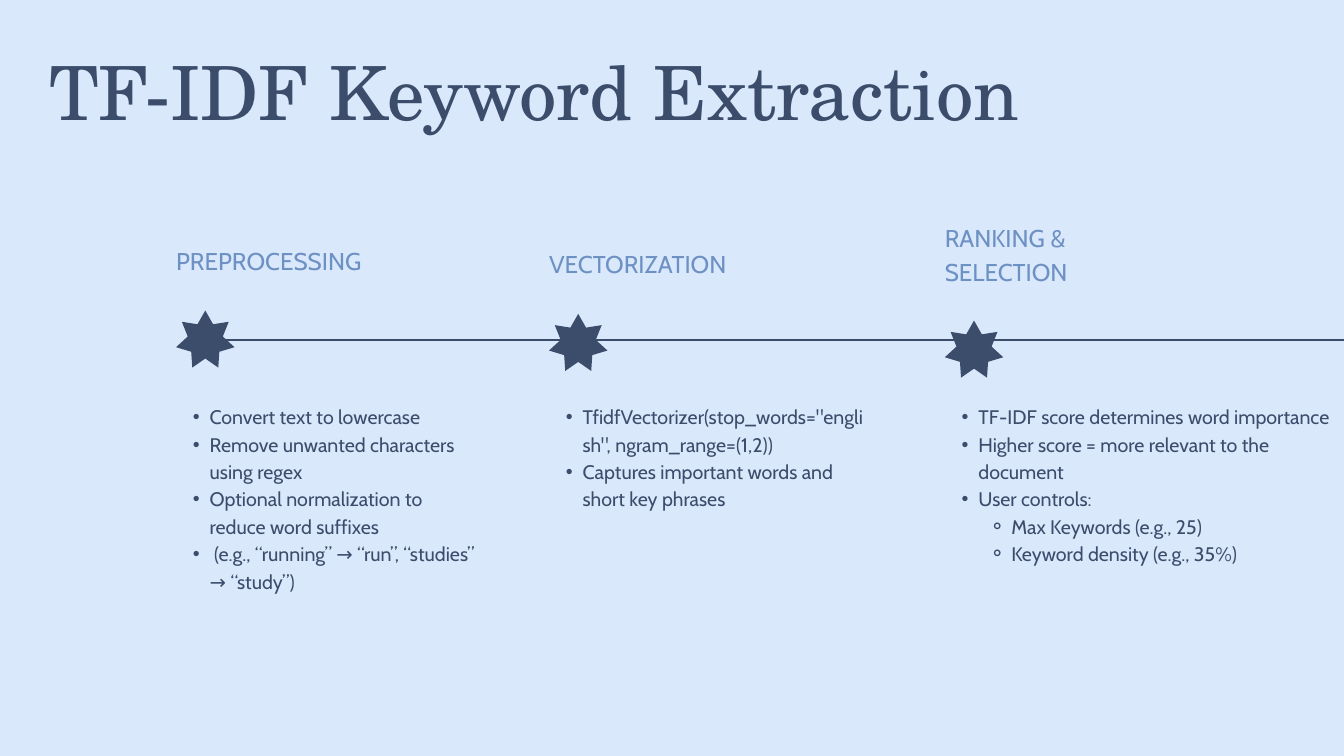
from dataclasses import dataclass

from lxml import etree
from pptx import Presentation
from pptx import util as u
from pptx.dml.color import RGBColor
from pptx.enum import shapes, text
from pptx.oxml.ns import qn

COLORS = {"background": "DAE8FC", "ink": "3B4D6B", "label": "6E91C4"}
HEADING_FONT, BODY_FONT = "TeX Gyre Schola", "Cabin"

SLIDE_WIDTH, SLIDE_HEIGHT = u.Inches(20), u.Inches(11.25)
COLUMNS, ROWS = 80, 45
DETAILS_ROW = 23.88
TIMELINE_ROW = 20.24

# Level: (bullet, left margin, hanging indent), both in inches
BULLETS = {1: ("•", 0.5, -0.25), 2: ("⚬", 0.99, -0.33)}


@dataclass
class Step:
    """A timeline stop; label and details boxes are in grid units."""
    label: str
    column: float
    label_row: float
    label_size: tuple
    star_row: float
    details_size: tuple
    details: list  # (level, wording)


STEPS = [
    Step("PREPROCESSING", 10.48, 14.36, (13.52, 1.92), 18.48, (17.8, 12.96), [
        (1, "Convert text to lowercase"),
        (1, "Remove unwanted characters using regex"),
        (1, "Optional normalization to reduce word suffixes"),
        (1, " (e.g., “running” → “run”, “studies” → “study”)"),
    ]),
    Step("VECTORIZATION", 32.68, 14.52, (12.6, 1.92), 18.68, (19.12, 8.12), [
        (1, 'TfidfVectorizer(stop_words="english", ngram_range=(1,2))'),
        (1, "Captures important words and short key phrases"),
    ]),
    Step("RANKING & SELECTION", 56.24, 13, (12.6, 3.92), 19.08, (23.76, 12.96), [
        (1, "TF-IDF score determines word importance"),
        (1, "Higher score = more relevant to the document"),
        (1, "User controls:"),
        (2, "Max Keywords (e.g., 25)"),
        (2, "Keyword density (e.g., 35%)"),
    ]),
]


def across(columns):
    return round(SLIDE_WIDTH * columns / COLUMNS)


def down(rows):
    return round(SLIDE_HEIGHT * rows / ROWS)


def grid_box(column, row, width, height):
    return across(column), down(row), across(width), down(height)


def color(name):
    return RGBColor.from_string(COLORS[name])


def add_bullet(paragraph, level):
    bullet, margin, indent = BULLETS[level]
    paragraph.level = level
    properties = paragraph._p.get_or_add_pPr()
    properties.set("marL", str(u.Inches(margin)))
    properties.set("indent", str(u.Inches(indent)))
    etree.SubElement(properties, qn("a:buFont")).set("typeface", "Arial")
    etree.SubElement(properties, qn("a:buChar")).set("char", bullet)


def add_text(slide, box, lines, font, size, leading, color_name):
    """Lines are (level, wording) pairs; level 0 has no bullet."""
    frame = slide.shapes.add_textbox(*box).text_frame
    frame.word_wrap = True
    frame.auto_size = text.MSO_AUTO_SIZE.SHAPE_TO_FIT_TEXT
    frame.margin_left = frame.margin_right = 0
    frame.margin_top = frame.margin_bottom = 0
    for index, (level, wording) in enumerate(lines):
        paragraph = frame.add_paragraph() if index else frame.paragraphs[0]
        paragraph.text = wording
        paragraph.line_spacing = u.Pt(leading)
        paragraph.font.name = font
        paragraph.font.size = u.Pt(size)
        paragraph.font.color.rgb = color(color_name)
        if level:
            add_bullet(paragraph, level)


def add_timeline(slide):
    timeline = slide.shapes.add_connector(
        shapes.MSO_CONNECTOR.STRAIGHT,
        across(11.92), down(TIMELINE_ROW), across(82.36), down(TIMELINE_ROW))
    timeline.line.color.rgb = color("ink")
    timeline.line.width = u.Pt(1.5)
    etree.SubElement(timeline._element.spPr, qn("a:effectLst"))


def add_star(slide, column, row):
    star = slide.shapes.add_shape(
        shapes.MSO_SHAPE.STAR_7_POINT, *grid_box(column, row, 3.48, 3.4))
    star.adjustments[0] = 0.3
    star.shadow.inherit = False
    star.fill.solid()
    star.fill.fore_color.rgb = color("ink")
    star.line.fill.background()


def add_step(slide, step):
    add_text(slide, grid_box(step.column, step.label_row, *step.label_size),
             [(0, step.label)], BODY_FONT, 26, 36.4, "label")
    add_text(slide, grid_box(step.column, DETAILS_ROW, *step.details_size),
             step.details, BODY_FONT, 21, 29.4, "ink")
    add_star(slide, step.column, step.star_row)


def main():
    presentation = Presentation()
    presentation.slide_width, presentation.slide_height = SLIDE_WIDTH, SLIDE_HEIGHT
    slide = presentation.slides.add_slide(presentation.slide_layouts[6])
    slide.background.fill.solid()
    slide.background.fill.fore_color.rgb = color("background")

    add_timeline(slide)
    add_text(slide, grid_box(2.92, 3.2, 69.2, 5.04),
             [(0, "TF-IDF Keyword Extraction")], HEADING_FONT, 80, 88, "ink")
    for step in STEPS:
        add_step(slide, step)
    presentation.save("out.pptx")


if __name__ == "__main__":
    main()
